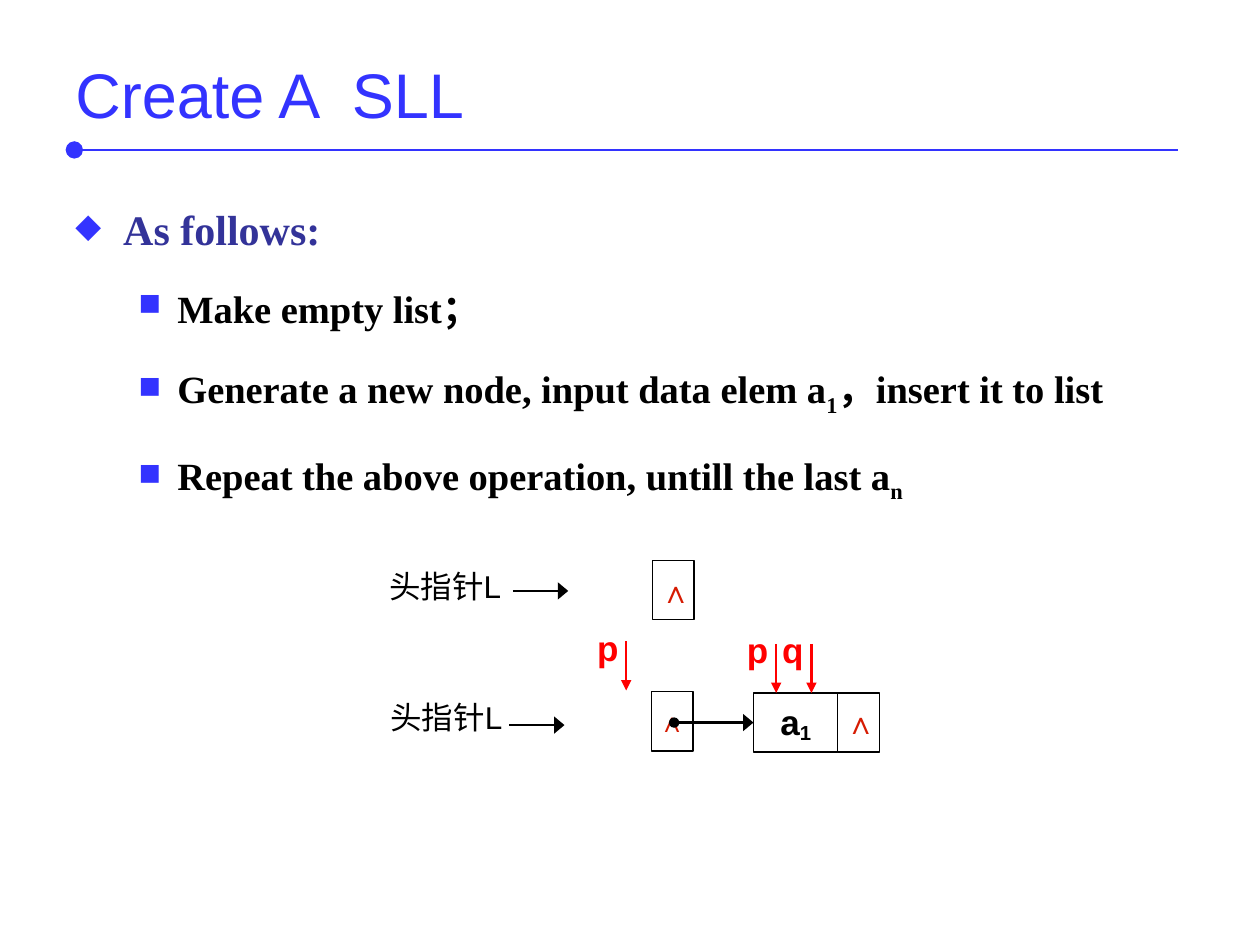
import pptx
import pptx.util
import pptx.dml.color
import pptx.enum.shapes
import pptx.enum.text
import pptx.oxml.ns
import lxml.etree

RGB = pptx.dml.color.RGBColor
BLUE = RGB(0x33, 0x33, 0xFF)
NAVY = RGB(0x33, 0x33, 0x99)
BLACK = RGB(0, 0, 0)
WHITE = RGB(0xFF, 0xFF, 0xFF)
RED = RGB(0xFF, 0, 0)
RUST = RGB(0xD6, 0x1B, 0x02)

SHAPE = pptx.enum.shapes.MSO_SHAPE
LINK = pptx.enum.shapes.MSO_CONNECTOR
ALIGN = pptx.enum.text.PP_ALIGN
ANCHOR = pptx.enum.text.MSO_ANCHOR
FIT = pptx.enum.text.MSO_AUTO_SIZE

COLS, ROWS = 100, 75


def add_tag(parent, name, **attrs):
    return lxml.etree.SubElement(parent, pptx.oxml.ns.qn(name), attrs)


def set_all(target, values):
    for name, value in values.items():
        setattr(target, name, value)


def style(size, color, bold=False, name="Arial"):
    return {"size": pptx.util.Pt(size), "bold": bold, "name": name, "color": color}


class Deck:
    """Holds the grid, the text styles and the current slide."""

    title = style(36, BLUE)
    head = style(24, NAVY, True, "Times New Roman")
    item = style(22, BLACK, True, "Times New Roman")
    label = style(18, BLACK)
    null = style(18, RUST, True)
    small = style(16, RUST, True)
    data = style(20, BLACK, True)
    ptr = style(20, RED, True)

    def __init__(self):
        self.show = pptx.Presentation()
        self.show.slide_width = pptx.util.Inches(10)
        self.show.slide_height = pptx.util.Inches(7.5)
        self.slide = self.show.slides.add_slide(self.show.slide_layouts[6])

    def place(self, *spans):
        """Turn column, row pairs into lengths."""
        units = (self.show.slide_width / COLS, self.show.slide_height / ROWS)
        return [round(span * units[i % 2]) for i, span in enumerate(spans)]

    def add_runs(self, para, parts, form, base=-25):
        """Add runs to a paragraph; every second part is a subscript."""
        for i, part in enumerate(parts):
            run = para.add_run()
            run.text = part
            set_all(run.font, {k: v for k, v in form.items() if k != "color"})
            run.font.color.rgb = form["color"]
            if i % 2:
                run.font._element.set("baseline", str(base * 1000))

    def text(self, spot, words, form, **frame):
        box = self.slide.shapes.add_textbox(*self.place(*spot)).text_frame
        set_all(box, {"word_wrap": True, **frame})
        if words:
            self.add_runs(box.paragraphs[0], [words], form)
        return box

    def bullet(self, para, parts, form, mark, left, hang, gap):
        props = para._p.get_or_add_pPr()
        props.set("marL", str(pptx.util.Inches(left)))
        props.set("indent", str(-pptx.util.Inches(hang)))
        add_tag(add_tag(props, "a:buClr"), "a:srgbClr", val=str(BLUE))
        add_tag(props, "a:buSzPct", val="80000")
        add_tag(props, "a:buChar", char=mark)
        set_all(para, {"line_spacing": 1.5, "space_before": pptx.util.Pt(gap)})
        self.add_runs(para, parts, form)

    def cell(self, spot, parts=(), form=None):
        box = self.slide.shapes.add_shape(SHAPE.RECTANGLE, *self.place(*spot))
        box.shadow.inherit = False
        box.fill.solid()
        box.fill.fore_color.rgb = WHITE
        box.line.color.rgb = BLACK
        box.line.width = pptx.util.Pt(0.75)
        set_all(box.text_frame, {"word_wrap": False, "vertical_anchor": ANCHOR.MIDDLE})
        box.text_frame.paragraphs[0].alignment = ALIGN.CENTER
        self.add_runs(box.text_frame.paragraphs[0], parts, form, -16)
        return box

    def line(self, ends, color, **tips):
        """Draw a line; tips maps headEnd or tailEnd to type, width and length."""
        link = self.slide.shapes.add_connector(LINK.STRAIGHT, *self.place(*ends))
        link.line.color.rgb = color
        link.line.width = pptx.util.Pt(1.5)
        for name, (kind, wide, long) in tips.items():
            add_tag(link.line._get_or_add_ln(), "a:" + name, type=kind, w=wide, len=long)
        add_tag(link._element.spPr, "a:effectLst")
        return link


def main():
    deck = Deck()
    wide = ("triangle", "lg", "med")
    slim = ("triangle", "med", "med")

    deck.line((5.9, 11.9, 93.5, 11.9), BLUE, headEnd=("oval", "lg", "lg"))
    deck.text((5, 3, 90, 8.8), "Create A  SLL", deck.title,
              vertical_anchor=ANCHOR.MIDDLE)

    body = deck.text((5, 13.7, 92.4, 27.4), "", deck.head)
    deck.bullet(body.paragraphs[0], ["As follows:"], deck.head, "◆", 0.38, 0.38, 0)
    steps = (
        ["Make empty list；"],
        ["Generate a new node, input data elem a", "1", "，insert it to list"],
        ["Repeat the above operation, untill the last a", "n"],
    )
    for step in steps:
        para = body.add_paragraph()
        para.level = 1
        deck.bullet(para, step, deck.item, "■", 0.81, 0.31, 4.4)

    grow = {"auto_size": FIT.SHAPE_TO_FIT_TEXT}
    lists = (
        (29.9, 44.5, 40.7, 46.9, 51.8, []),
        (30, 54.9, 40.4, 57.55, 51.7, ["∧"]),
    )
    for left, top, start, mid, box, sign in lists:
        deck.cell((box, top, 3.3, 4.7), sign, deck.small)
        deck.text((left, top, 10.9, 4), "头指针L", deck.label, **grow)
        deck.line((start, mid, start + 4.4, mid), BLACK, tailEnd=wide)

    node = deck.cell((59.8, 55, 6.7, 4.7), ["a", "1"], deck.data)
    deck.cell((66.5, 55, 3.3, 4.7))
    for left, top in ((51.4, 44.9), (66.1, 55.3)):
        deck.text((left, top, 4.5, 4), "∧", deck.null, word_wrap=False, **grow)

    link = deck.line((53.5, 57.35, 59.8, 57.35), BLACK,
                     headEnd=("oval", "med", "med"), tailEnd=wide)
    link.end_connect(node, 1)

    for name, left, top in (("p", 46.4, 49.2), ("q", 61.1, 49.4), ("p", 58.3, 49.4)):
        deck.text((left, top, 4, 2.8), name, deck.ptr, **grow)
        tip = left + 3.3
        deck.line((tip, top + 1.7, tip, top + 5.6), RED, tailEnd=slim)

    deck.show.save("out.pptx")


if __name__ == "__main__":
    main()
